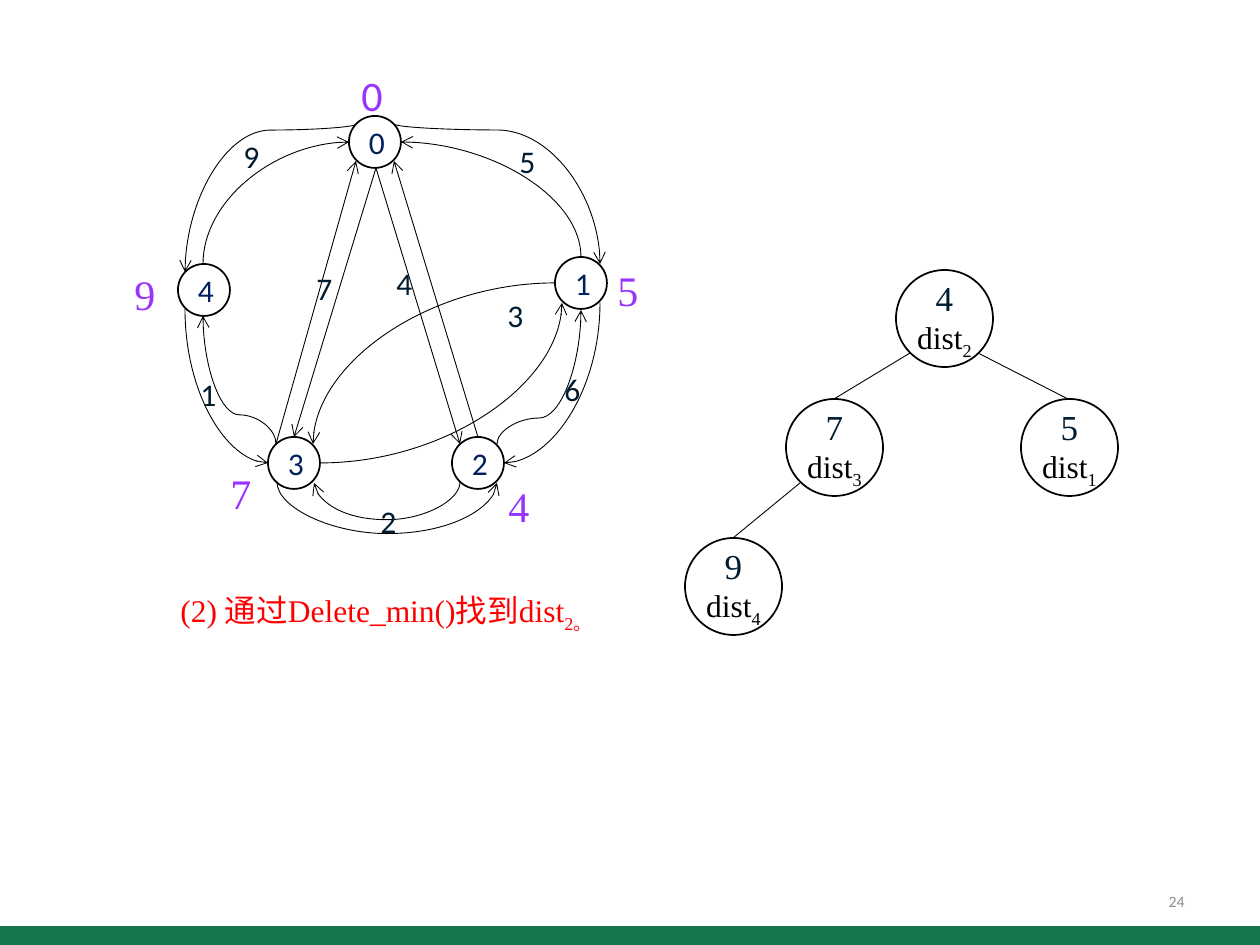
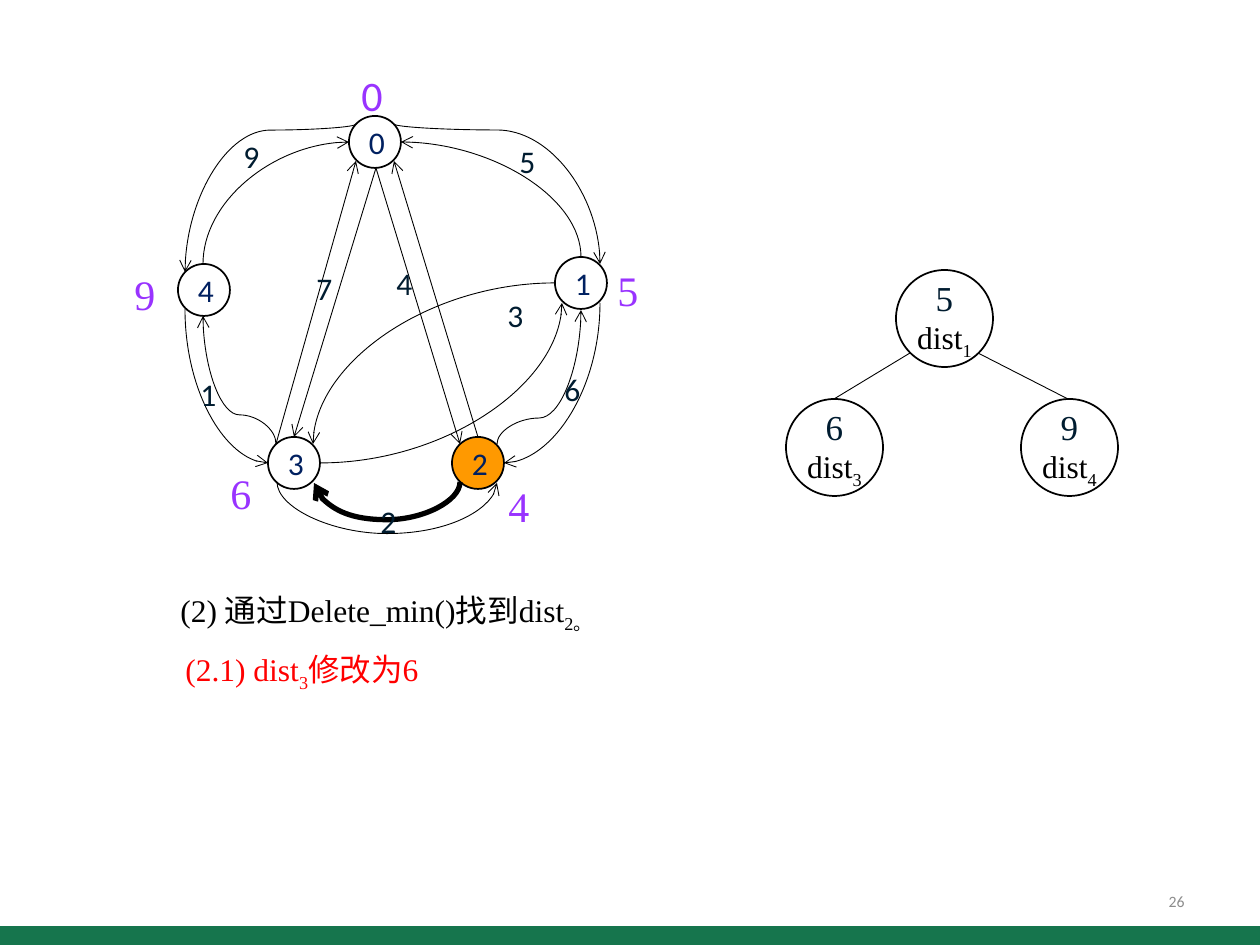
from lxml.etree import SubElement
from pptx import Presentation
from pptx.dml.color import RGBColor
from pptx.enum.shapes import MSO_CONNECTOR, MSO_SHAPE
from pptx.enum.text import MSO_ANCHOR, MSO_AUTO_SIZE, PP_ALIGN
from pptx.oxml.ns import qn
from pptx.util import Pt

PIXEL = 914400 / 126
COLOURS = {
    "band": "16754D", "number": "8C8C8C", "black": "000000", "vertex": "002060",
    "weight": "001C30", "distance": "9933FF", "current": "FF0000", "chosen": "FF9900",
}
SANS, SERIF = "Calibri", "Times New Roman"
VERTEX_SIZE, HEAP_SIZE = 52, 97

# Graph: vertices, arrows (start, end, route, height of the bend) and weights
vertices = {0: (349, 116), 4: (178, 264), 3: (268, 437), 2: (452, 437), 1: (555, 257)}
arrows = [
    ((356, 124), (185, 272), "vertical", 130),
    ((394, 124), (600, 264), "vertical", 130),
    ((277, 482), (497, 483), "vertical", 534),
    ((460, 482), (314, 483), "vertical", 520),
    ((276, 444), (203, 316), "vertical", 415),
    ((497, 444), (581, 310), "vertical", 418),
    ((185, 309), (268, 463), "vertical", None),
    ((600, 303), (504, 463), "vertical", None),
    ((203, 264), (349, 142), "vertical", None),
    ((581, 257), (401, 142), "vertical", None),
    ((555, 283), (313, 444), "horizontal", None),
    ((320, 463), (562, 303), "horizontal", None),
    ((376, 168), (460, 444), "straight", None),
    ((376, 168), (294, 437), "straight", None),
    ((276, 444), (356, 161), "straight", None),
    ((478, 437), (394, 161), "straight", None),
]
arrow_2_to_3 = arrows[3]
weights = [("9", 231, 131), ("5", 507, 136), ("4", 384, 258), ("7", 304, 263),
           ("1", 188, 369), ("2", 368, 496), ("3", 495, 290), ("6", 552, 364)]
distance_places = [(349, 63), (605, 258), (496, 474), (218, 461), (122, 262)]

# Heap: places in level order, and the edge from each child up to its parent
heap_places = [(896, 270), (786, 399), (1021, 399), (685, 538)]
heap_edges = [((834, 399), (910, 353)), ((1068, 399), (978, 353)), ((733, 538), (800, 483))]

# What changes from slide to slide; heap entries are (key, vertex)
find_minimum = ["(2) 通过Delete_min()找到dist", "2。"]
steps = [
    {"number": "24", "distances": "05479", "heap": [(4, 2), (7, 3), (5, 1), (9, 4)],
     "chosen": None, "captions": [(find_minimum, 168, 585, 501, "current")]},
    {"number": "26", "distances": "05469", "heap": [(5, 1), (6, 3), (9, 4)],
     "chosen": 2, "captions": [(find_minimum, 168, 585, 501, "black"),
                               (["(2.1) dist", "3", "修改为6"], 173, 644, 364, "current")]},
]


def write(shape, parts, size, colour, font, alignment):
    """Fill a shape with text; every second part is a subscript."""
    paragraph = shape.text_frame.paragraphs[0]
    paragraph.text = parts[0]
    for index, part in enumerate(parts[1:], 1):
        run = paragraph.add_run()
        run.text = part
        if index % 2:
            run._r.get_or_add_rPr().set("baseline", "-25000")
    paragraph.alignment = alignment
    for run in paragraph.runs:
        run.font.size = Pt(size)
        run.font.name = font
        run.font.color.rgb = RGBColor.from_string(COLOURS[colour])


def connect(slide, start, end, route="straight", bend=None, width=0.5, arrow=True):
    """Draw a line, or a curve that leaves its start along the route."""
    (x1, y1), (x2, y2) = start, end
    kind = MSO_CONNECTOR.STRAIGHT
    if route != "straight":
        kind = MSO_CONNECTOR.CURVE
        rightward, downward = x2 > x1, y2 > y1
        length, depth = abs(x2 - x1), abs(y2 - y1)
        if route == "vertical":
            length, depth = depth, length
            rotation, flipped = (90 if downward else 270), rightward == downward
        else:
            rotation, flipped = (0 if rightward else 180), rightward != downward
        left, top = (x1 + x2 - length) / 2, (y1 + y2 - depth) / 2
        x1, y1, x2, y2 = left, top, left + length, top + depth
    ends = [round(value * PIXEL) for value in (x1, y1, x2, y2)]
    connector = slide.shapes.add_connector(kind, *ends)
    properties = connector._element.spPr
    if route != "straight":
        frame = properties.find(qn("a:xfrm"))
        frame.set("rot", str(rotation * 60000))
        if flipped:
            frame.set("flipV", "1")
        geometry = properties.find(qn("a:prstGeom"))
        if bend is None:
            geometry.set("prst", "curvedConnector2")
        else:
            share = (bend - start[1]) / (end[1] - start[1])
            SubElement(geometry.find(qn("a:avLst")), qn("a:gd"),
                       name="adj1", fmla=f"val {round(share * 100000)}")
    connector.line.color.rgb = RGBColor.from_string(COLOURS["black"])
    connector.line.width = Pt(width)
    if arrow:
        SubElement(properties.find(qn("a:ln")), qn("a:tailEnd"), type="arrow")
    SubElement(properties, qn("a:effectLst"))


presentation = Presentation()
presentation.slide_width = round(1260 * PIXEL)
presentation.slide_height = round(945 * PIXEL)
blank_layout = presentation.slide_layouts[6]

for step in steps:
    slide = presentation.slides.add_slide(blank_layout)

    # Green band, moved to the master once
    if step is steps[0]:
        band = slide.shapes.add_shape(
            MSO_SHAPE.RECTANGLE, 0, *[round(value * PIXEL) for value in (926, 1260, 22)])
        band.shadow.inherit = False
        band.fill.solid()
        band.fill.fore_color.rgb = RGBColor.from_string(COLOURS["band"])
        band.line.fill.background()
        presentation.slide_master.shapes._spTree.append(band._element)

    # Circles of the graph and the heap
    circles = [(place, VERTEX_SIZE, [str(vertex)], SANS, "vertex")
               for vertex, place in vertices.items()]
    circles += [(place, HEAP_SIZE, [f"{key}\vdist", str(vertex)], SERIF, "black")
                for place, (key, vertex) in zip(heap_places, step["heap"])]
    for place, size, parts, font, colour in circles:
        box = [round(value * PIXEL) for value in (*place, size, size)]
        circle = slide.shapes.add_shape(MSO_SHAPE.OVAL, *box)
        circle.shadow.inherit = False
        circle.fill.background()
        circle.line.color.rgb = RGBColor.from_string(COLOURS["black"])
        circle.line.width = Pt(1)
        write(circle, parts, 18, colour, font, PP_ALIGN.CENTER)
        frame = circle.text_frame
        frame.vertical_anchor = MSO_ANCHOR.MIDDLE
        if size == HEAP_SIZE:
            frame.margin_left = frame.margin_right = 0
            frame.margin_top = frame.margin_bottom = 0
            key_font = frame.paragraphs[0].runs[0].font
            key_font.size = Pt(20)
            key_font.color.rgb = RGBColor.from_string(COLOURS["weight"])
        elif parts == [str(step["chosen"])]:
            circle.fill.solid()
            circle.fill.fore_color.rgb = RGBColor.from_string(COLOURS["chosen"])

    # Arrows of the graph and edges of the heap
    for arrow in arrows:
        followed = step["chosen"] is not None and arrow is arrow_2_to_3
        connect(slide, *arrow, width=3 if followed else 0.5)
    for child, parent in heap_edges[:len(step["heap"]) - 1]:
        connect(slide, child, parent, arrow=False)

    # Weights, distances and captions
    labels = [([text], (left, top, 43, 50), 18, "weight", SANS, False)
              for text, left, top in weights]
    labels += [([text], (*place, 47, 63), 24, "distance", SANS if text == "0" else SERIF, False)
               for text, place in zip(step["distances"], distance_places)]
    labels += [(parts, (left, top, width, 50), 18, colour, SERIF, True)
               for parts, left, top, width, colour in step["captions"]]
    for parts, box, size, colour, font, wrapped in labels:
        label = slide.shapes.add_textbox(*[round(value * PIXEL) for value in box])
        label.text_frame.word_wrap = wrapped
        label.text_frame.auto_size = MSO_AUTO_SIZE.SHAPE_TO_FIT_TEXT
        write(label, parts, size, colour, font, PP_ALIGN.LEFT)

    # Slide number
    number = slide.shapes.add_textbox(*[round(value * PIXEL) for value in (903, 876, 294, 50)])
    number.text_frame.word_wrap = True
    number.text_frame.vertical_anchor = MSO_ANCHOR.MIDDLE
    write(number, [step["number"]], 9, "number", SANS, PP_ALIGN.RIGHT)

presentation.save("out.pptx")
